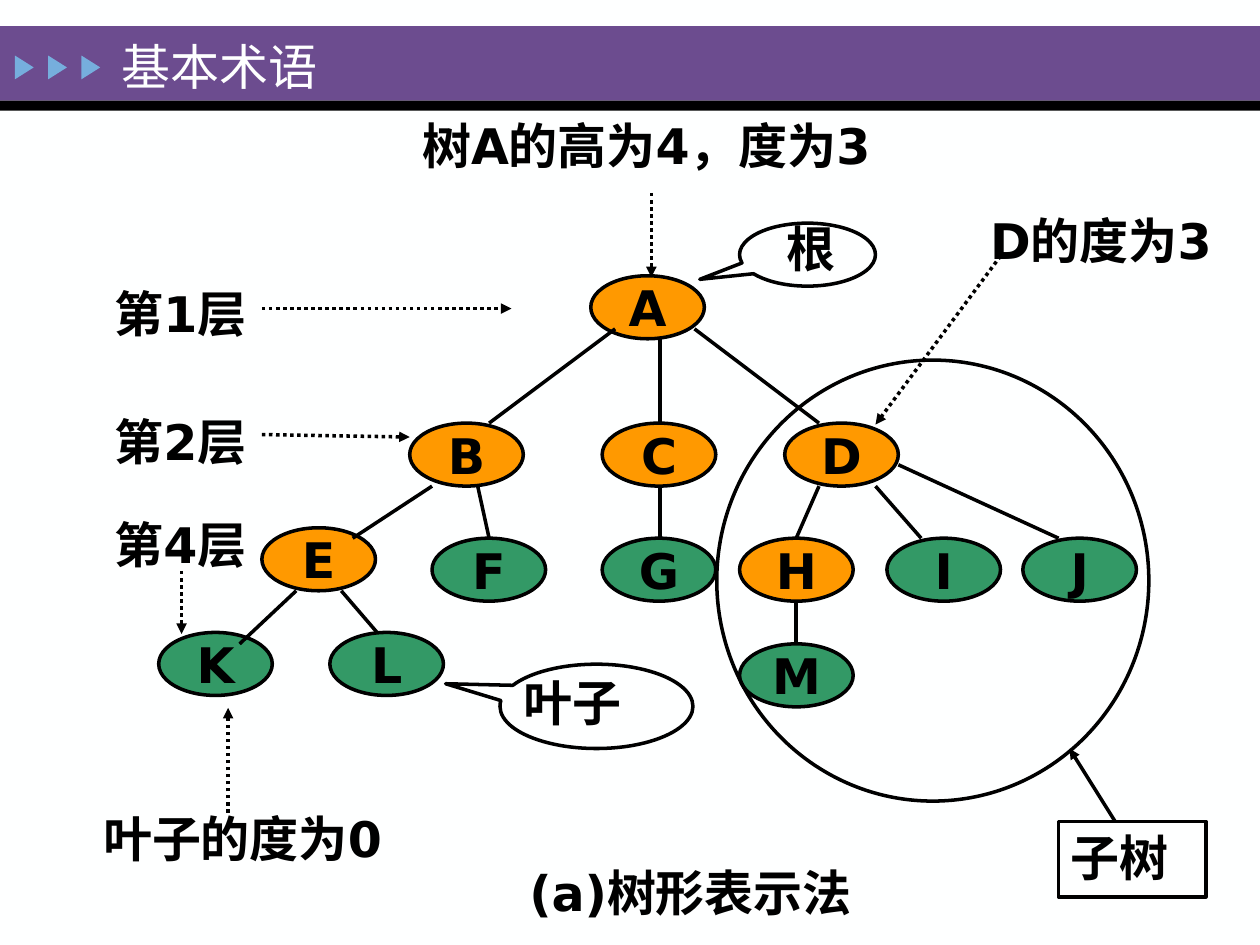
from lxml import etree
from pptx import Presentation
from pptx.dml.color import RGBColor
from pptx.enum.dml import MSO_LINE_DASH_STYLE as DASH
from pptx.enum.shapes import MSO_CONNECTOR, MSO_SHAPE
from pptx.enum.text import MSO_ANCHOR, MSO_AUTO_SIZE, PP_ALIGN
from pptx.oxml.ns import qn
from pptx.util import Cm, Pt

COLORS = {
    "background": "FEFFFF",
    "band": "6C4C8F",
    "marker": "76AEDD",
    "inner": "FF9900",
    "leaf": "339966",
    "ink": "000000",
}
BODY_FONT = "DejaVu Sans"
TITLE_FONT = "Times New Roman"

NODE_WIDTH, NODE_HEIGHT = 2.29, 1.27
LEAVES = "FGIJKLM"
NODES = {
    "A": (11.91, 5.56),
    "B": (8.26, 8.53),
    "C": (12.14, 8.53),
    "D": (15.82, 8.53),
    "E": (5.28, 10.64),
    "F": (8.71, 10.85),
    "K": (3.2, 12.75),
    "L": (6.65, 12.75),
    "G": (12.14, 10.85),
    "H": (14.91, 10.85),
    "M": (14.91, 12.98),
    "I": (17.88, 10.85),
    "J": (20.62, 10.85),
}
EDGES_BEHIND = [
    (6.88, 11.91, 7.8, 12.98),
    (13.31, 6.83, 13.31, 10.85),
]
EDGES_IN_FRONT = [
    (12.4, 6.63, 9.86, 8.53),
    (14, 6.63, 16.51, 8.53),
    (8.71, 9.8, 7.11, 10.85),
    (9.63, 9.8, 9.86, 10.85),
    (5.97, 11.91, 4.83, 12.98),
    (16.51, 9.8, 16.05, 10.85),
    (17.65, 9.8, 18.57, 10.85),
    (18.11, 9.37, 21.34, 10.85),
    (16.05, 12.12, 16.05, 12.98),
]
CALLOUTS = [
    ((14.91, 4.5, 2.74, 1.27), (-0.793, 0.392), "根", (15.6, 4.29, 1.6, 1.45)),
    ((10.08, 13.39, 3.89, 1.7), (-0.782, -0.268), "叶子", (10.31, 13.44, 3.66, 1.45)),
]
NOTES = [
    ("第1层", (2.06, 5.59, 5.51, 1.45), (5.28, 6.22, 10.31, 6.22)),
    ("第2层", (2.06, 8.18, 4.11, 1.45), (5.28, 8.76, 8.26, 8.81)),
    ("第4层", (2.06, 10.24, 3.43, 1.45), (3.66, 11.51, 3.66, 12.78)),
    ("D的度为3", (19.71, 4.11, 7.8, 1.45), (20.17, 5.16, 17.65, 8.56)),
    ("叶子的度为0", (1.83, 16.18, 6.65, 1.45), (4.6, 16.38, 4.6, 14.27)),
    ("树A的高为4，度为3", (8.26, 2.21, 10.31, 1.45), (13.13, 3.89, 13.13, 5.59)),
]


def color(name):
    return RGBColor.from_string(COLORS[name])


def write(shape, text, font=BODY_FONT, ink="ink", bold=True, align=PP_ALIGN.LEFT,
          anchor=MSO_ANCHOR.TOP, wrap=True, grow=True):
    frame = shape.text_frame
    frame.text = text
    frame.word_wrap = wrap
    frame.auto_size = MSO_AUTO_SIZE.SHAPE_TO_FIT_TEXT if grow else MSO_AUTO_SIZE.NONE
    frame.vertical_anchor = anchor
    paragraph = frame.paragraphs[0]
    paragraph.alignment = align
    for run in paragraph.runs:
        run.font.name = font
        run.font.size = Pt(28)
        run.font.bold = bold
        run.font.color.rgb = color(ink)


def add_shape(slide, kind, box, fill=None, outlined=True):
    shape = slide.shapes.add_shape(kind, *map(Cm, box))
    shape.shadow.inherit = False
    if fill:
        shape.fill.solid()
        shape.fill.fore_color.rgb = color(fill)
    else:
        shape.fill.background()
    if outlined:
        shape.line.color.rgb = color("ink")
        shape.line.width = Pt(2)
    else:
        shape.line.fill.background()
    return shape


def add_text(slide, text, box, **style):
    write(slide.shapes.add_textbox(*map(Cm, box)), text, **style)


def add_line(slide, points, arrow=False, dotted=False):
    connector = slide.shapes.add_connector(MSO_CONNECTOR.STRAIGHT, *map(Cm, points))
    connector.line.color.rgb = color("ink")
    connector.line.width = Pt(2)
    if dotted:
        connector.line.dash_style = DASH.ROUND_DOT
    properties = connector._element.spPr
    if arrow:
        tail = etree.SubElement(properties.find(qn("a:ln")), qn("a:tailEnd"))
        tail.set("type", "triangle")
    etree.SubElement(properties, qn("a:effectLst"))


def add_header(slide):
    add_shape(slide, MSO_SHAPE.RECTANGLE, (0, 0.53, 25.4, 1.5), "band", False)
    add_shape(slide, MSO_SHAPE.RECTANGLE, (0, 2.03, 25.4, 0.2), "ink", False)
    for index in range(3):
        box = (0.25 + 0.67 * index, 1.17, 0.48, 0.38)
        marker = add_shape(slide, MSO_SHAPE.ISOSCELES_TRIANGLE, box, "marker", False)
        marker.rotation = 90


def add_node(slide, name, left, top):
    fill = "leaf" if name in LEAVES else "inner"
    node = add_shape(slide, MSO_SHAPE.OVAL, (left, top, NODE_WIDTH, NODE_HEIGHT), fill)
    write(node, name, align=PP_ALIGN.CENTER, anchor=MSO_ANCHOR.MIDDLE, wrap=False, grow=False)


def add_tree(slide):
    for points in EDGES_BEHIND:
        add_line(slide, points)
    for name, (left, top) in NODES.items():
        add_node(slide, name, left, top)
    for points in EDGES_IN_FRONT:
        add_line(slide, points)


def add_callout(slide, box, tip, text, text_box):
    callout = add_shape(slide, MSO_SHAPE.OVAL_CALLOUT, box)
    callout.adjustments[0], callout.adjustments[1] = tip
    add_text(slide, text, text_box)


def add_subtree(slide):
    add_shape(slide, MSO_SHAPE.OVAL, (14.45, 7.26, 8.71, 8.89))
    add_line(slide, (22.48, 16.56, 21.56, 15.09), arrow=True)
    write(add_shape(slide, MSO_SHAPE.RECTANGLE, (21.34, 16.56, 2.97, 1.52)), "子树")


def main():
    presentation = Presentation()
    presentation.slide_width, presentation.slide_height = Cm(25.4), Cm(19.05)
    slide = presentation.slides.add_slide(presentation.slide_layouts[6])
    slide.background.fill.solid()
    slide.background.fill.fore_color.rgb = color("background")

    add_header(slide)
    add_tree(slide)
    root_callout, leaf_callout = CALLOUTS
    add_callout(slide, *root_callout)
    add_subtree(slide)
    add_callout(slide, *leaf_callout)
    for text, box, points in NOTES:
        add_text(slide, text, box)
        add_line(slide, points, arrow=True, dotted=True)
    add_text(slide, "(a)树形表示法", (8.99, 17.27, 9.86, 1.45), align=PP_ALIGN.CENTER)
    add_text(slide, "基本术语", (2.21, 0.61, 10.9, 1.42), font=TITLE_FONT,
             ink="background", bold=False, anchor=MSO_ANCHOR.MIDDLE, grow=False)
    presentation.save("out.pptx")


if __name__ == "__main__":
    main()
